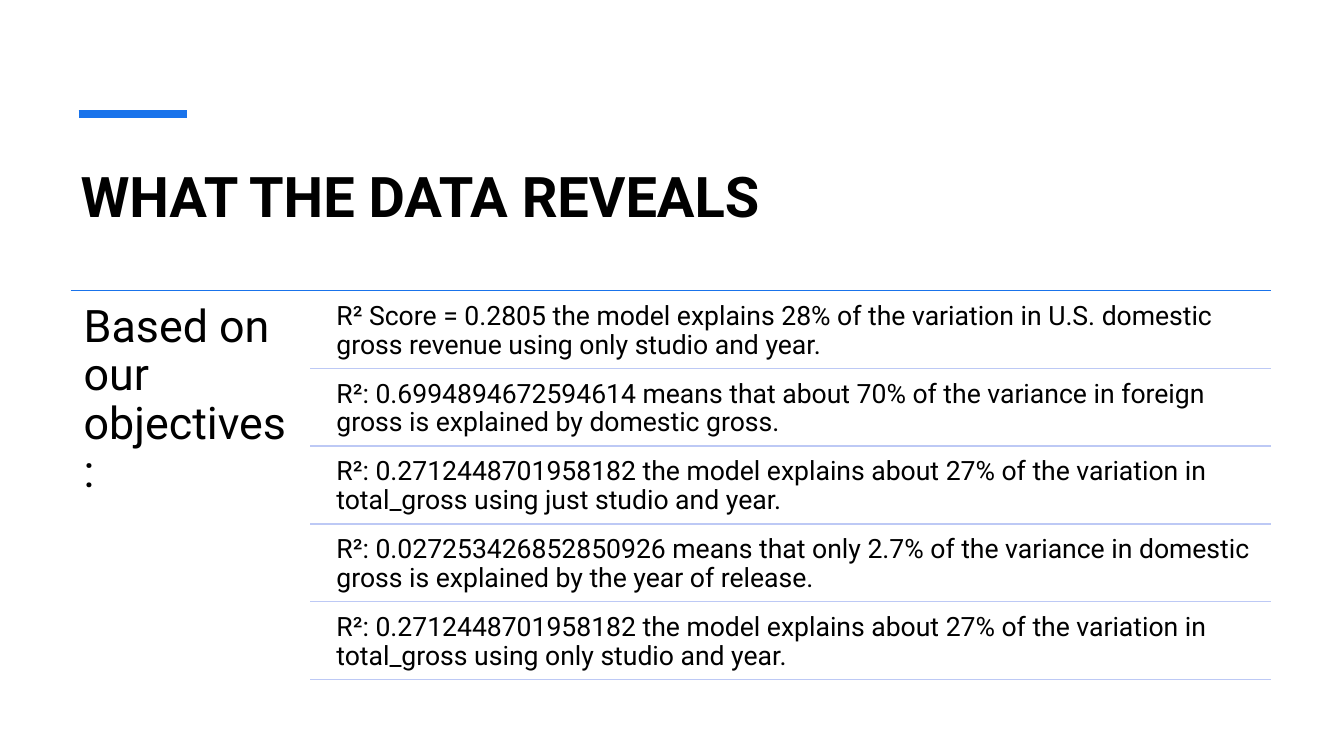
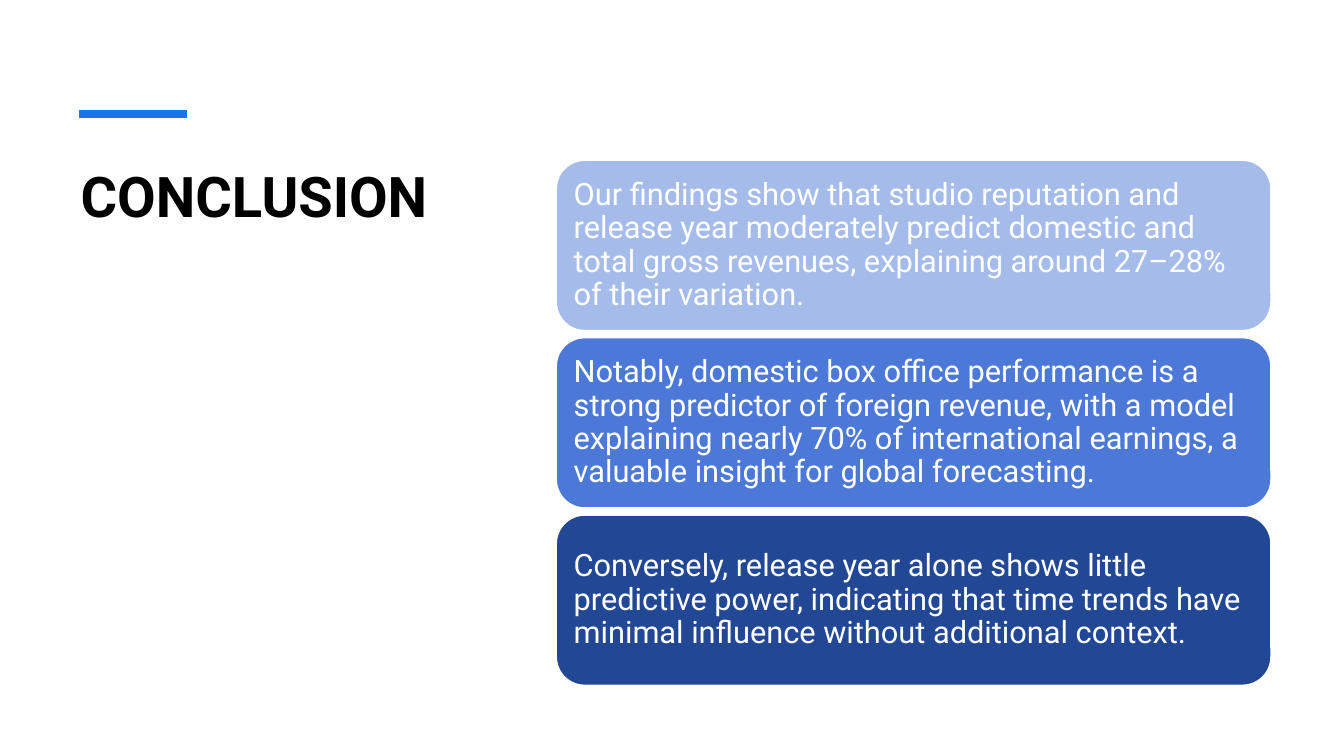
from dataclasses import dataclass

from lxml import etree
from pptx import Presentation
from pptx.dml.color import RGBColor
from pptx.enum.shapes import MSO_CONNECTOR, MSO_SHAPE
from pptx.enum.text import MSO_ANCHOR, MSO_AUTO_SIZE, PP_ALIGN
from pptx.oxml.ns import qn
from pptx.slide import Slide
from pptx.text.text import TextFrame
from pptx.util import Cm, Pt

STRAIGHT = MSO_CONNECTOR.STRAIGHT
ROUNDED = MSO_SHAPE.ROUNDED_RECTANGLE
TOP, MIDDLE = MSO_ANCHOR.TOP, MSO_ANCHOR.MIDDLE
LEFT_ALIGN = PP_ALIGN.LEFT
NO_AUTOFIT = MSO_AUTO_SIZE.NONE

FONT = "Roboto"
COLORS = {
    "text": "000000",
    "white": "FFFFFF",
    "accent": "1973EB",
    "divider": "BDC9F5",
    "card_light": "A5BCEB",
    "card_medium": "4C79D7",
    "card_dark": "214795",
}
TITLE_ONLY = 5

# Shared margins, in centimetres
MARGIN_LEFT, MARGIN_RIGHT = 1.78, 32.03
CONTENT_WIDTH = MARGIN_RIGHT - MARGIN_LEFT

# Findings list
LIST_TOP, ROW_PITCH = 7.32, 1.96
LABEL_WIDTH = 6.04
DIVIDER_LEFT = MARGIN_LEFT + LABEL_WIDTH
FINDING_LEFT = 8.28

# Conclusion cards
CARD_LEFT, CARD_TOP = 14.02, 4.04
CARD_HEIGHT, CARD_PITCH = 4.29, 4.47


@dataclass(frozen=True)
class Area:
    left: float
    top: float
    width: float
    height: float

    def lengths(self) -> tuple[Cm, Cm, Cm, Cm]:
        return Cm(self.left), Cm(self.top), Cm(self.width), Cm(self.height)


@dataclass(frozen=True)
class TextStyle:
    size: float
    color: str = "text"
    bold: bool = False
    inset: float = 0.25
    spacing: float = 0.9
    anchor: MSO_ANCHOR = TOP


@dataclass(frozen=True)
class Card:
    fill: str
    text: str


TITLE_STYLE = TextStyle(40, bold=True, spacing=1.0)
LABEL_STYLE = TextStyle(32, inset=0.33)
FINDING_STYLE = TextStyle(19, inset=0.2)
CARD_STYLE = TextStyle(22, color="white", inset=0.23, anchor=MIDDLE)

FINDINGS = (
    "R² Score = 0.2805 the model explains 28% of the variation in U.S. domestic "
    "gross revenue using only studio and year.",
    "R²: 0.6994894672594614 means that about 70% of the variance in foreign "
    "gross is explained by domestic gross.",
    "R²: 0.2712448701958182 the model explains about 27% of the variation in "
    "total_gross using just studio and year.",
    "R²: 0.027253426852850926 means that only 2.7% of the variance in domestic "
    "gross is explained by the year of release.",
    "R²: 0.2712448701958182 the model explains about 27% of the variation in "
    "total_gross using only studio and year.",
)
CARDS = (
    Card("card_light",
         "Our findings show that studio reputation and release year moderately "
         "predict domestic and total gross revenues, explaining around 27–28% of "
         "their variation."),
    Card("card_medium",
         "Notably, domestic box office performance is a strong predictor of foreign "
         "revenue, with a model explaining nearly 70% of international earnings, a "
         "valuable insight for global forecasting."),
    Card("card_dark",
         "Conversely, release year alone shows little predictive power, indicating "
         "that time trends have minimal influence without additional context."),
)


def color(name: str) -> RGBColor:
    return RGBColor.from_string(COLORS[name])


def write(frame: TextFrame, text: str, style: TextStyle) -> None:
    frame.text = text
    frame.word_wrap = True
    frame.auto_size = NO_AUTOFIT
    frame.vertical_anchor = style.anchor
    frame.margin_left = frame.margin_right = Cm(style.inset)
    frame.margin_top = frame.margin_bottom = Cm(style.inset)
    for para in frame.paragraphs:
        para.alignment = LEFT_ALIGN
        para.line_spacing = style.spacing
        for span in para.runs:
            span.font.name = FONT
            span.font.size = Pt(style.size)
            span.font.bold = style.bold
            span.font.color.rgb = color(style.color)


def add_text(page: Slide, area: Area, text: str, style: TextStyle) -> None:
    box = page.shapes.add_textbox(*area.lengths())
    write(box.text_frame, text, style)


def add_rule(page: Slide, left: float, right: float, top: float,
             color_name: str, weight: float = 1) -> None:
    rule = page.shapes.add_connector(STRAIGHT, Cm(left), Cm(top), Cm(right), Cm(top))
    rule.line.color.rgb = color(color_name)
    rule.line.width = Pt(weight)
    etree.SubElement(rule._element.spPr, qn("a:effectLst"))


def add_card(page: Slide, area: Area, card: Card) -> None:
    box = page.shapes.add_shape(ROUNDED, *area.lengths())
    box.shadow.inherit = False
    box.fill.solid()
    box.fill.fore_color.rgb = color(card.fill)
    box.line.color.rgb = color("white")
    box.line.width = Pt(1)
    write(box.text_frame, card.text, CARD_STYLE)


def add_page(deck: Presentation, title: str, title_area: Area) -> Slide:
    page = deck.slides.add_slide(deck.slide_layouts[TITLE_ONLY])
    heading = page.shapes.title
    heading.left, heading.top, heading.width, heading.height = title_area.lengths()
    write(heading.text_frame, title, TITLE_STYLE)
    # Accent mark above the title
    add_rule(page, 1.98, 4.7, 2.87, "accent", weight=6)
    return page


def add_findings_page(deck: Presentation) -> None:
    page = add_page(deck, "WHAT THE DATA REVEALS",
                    Area(MARGIN_LEFT, 3.81, CONTENT_WIDTH, 3.05))
    add_rule(page, MARGIN_LEFT, MARGIN_RIGHT, LIST_TOP, "accent")
    label_area = Area(MARGIN_LEFT, LIST_TOP, LABEL_WIDTH, 9.91)
    add_text(page, label_area, "Based on our objectives:", LABEL_STYLE)
    # One row per finding, closed by a divider
    for index, finding in enumerate(FINDINGS):
        top = LIST_TOP + index * ROW_PITCH
        area = Area(FINDING_LEFT, top + 0.1, MARGIN_RIGHT - FINDING_LEFT, 1.88)
        add_text(page, area, finding, FINDING_STYLE)
        add_rule(page, DIVIDER_LEFT, MARGIN_RIGHT, top + ROW_PITCH, "divider")


def add_conclusion_page(deck: Presentation) -> None:
    page = add_page(deck, "CONCLUSION", Area(MARGIN_LEFT, 3.81, 10.21, 10.9))
    # Stack of cards
    for index, card in enumerate(CARDS):
        top = CARD_TOP + index * CARD_PITCH
        add_card(page, Area(CARD_LEFT, top, MARGIN_RIGHT - CARD_LEFT, CARD_HEIGHT), card)


def main() -> None:
    deck = Presentation()
    deck.slide_width, deck.slide_height = Cm(33.87), Cm(19.05)
    add_findings_page(deck)
    add_conclusion_page(deck)
    deck.save("out.pptx")


if __name__ == "__main__":
    main()
